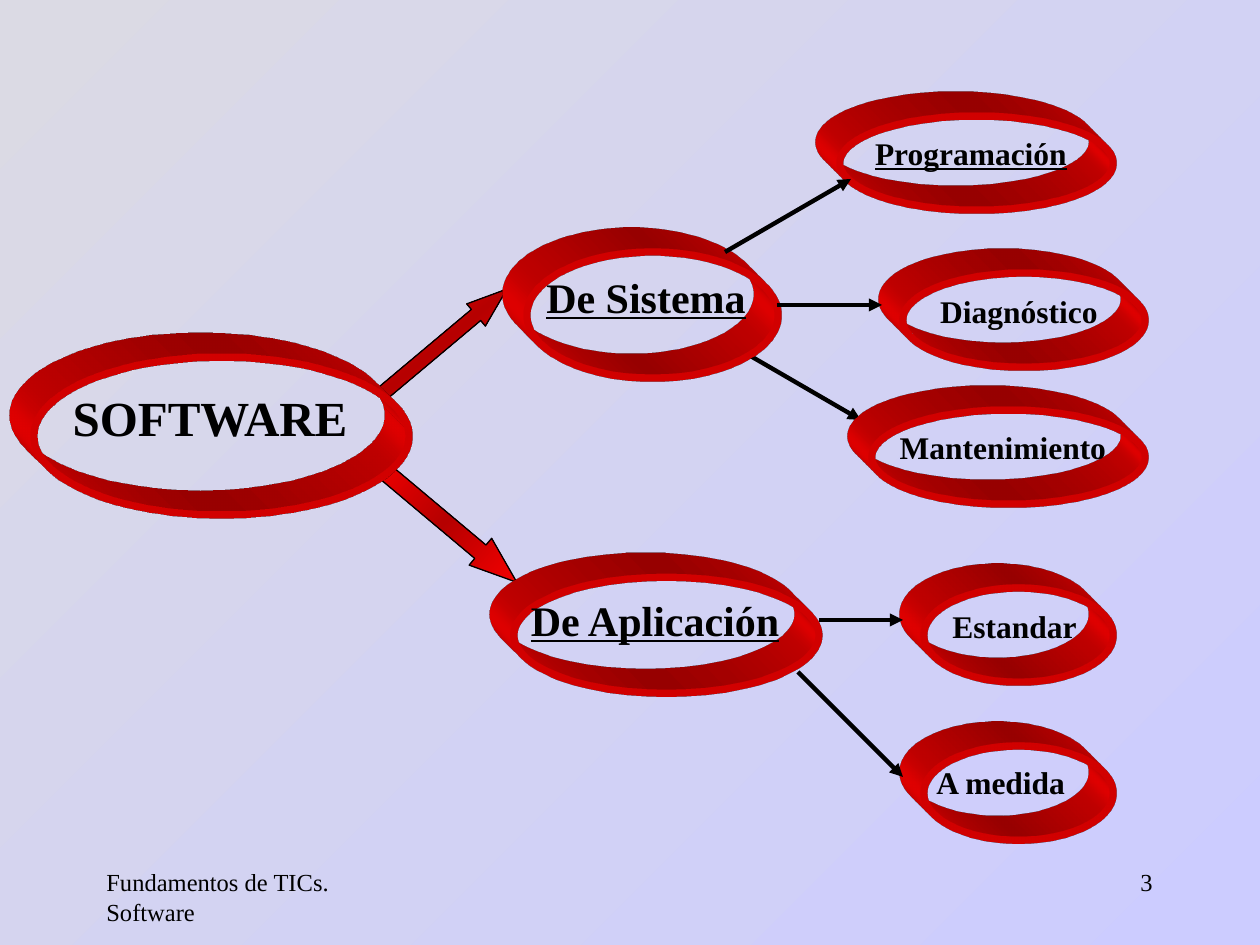
from copy import deepcopy
from dataclasses import dataclass

from lxml.etree import SubElement
from pptx import Presentation
from pptx.dml.color import RGBColor
from pptx.enum.shapes import MSO_CONNECTOR as Connector, MSO_SHAPE as Preset
from pptx.enum.text import PP_ALIGN as Align
from pptx.oxml import parse_xml
from pptx.oxml.ns import nsdecls, qn
from pptx.util import Emu, Pt

BLACK = RGBColor(0x00, 0x00, 0x00)
RED = RGBColor(0xFF, 0x00, 0x00)
DARK_RED = RGBColor(0xB6, 0x00, 0x00)
PALE_GREY = RGBColor(0xDB, 0xDA, 0xE4)
LAVENDER = RGBColor(0xCC, 0xCC, 0xFF)
FONT = "Times New Roman"
EMU_PER_PX = 914400 / 126
EXTRUSION_DEPTH = 430200


@dataclass(frozen=True)
class Box:
    left: int
    top: int
    width: int
    height: int


@dataclass(frozen=True)
class Label:
    text: str
    box: Box
    size: int
    bold: bool = True
    underline: bool = False
    align: Align = Align.CENTER
    line_spacing: Pt | None = Pt(22)


@dataclass(frozen=True)
class Ring:
    box: Box
    label: Label


@dataclass(frozen=True)
class BlockArrow:
    preset: Preset
    box: Box
    rotation: int
    head_ratio: float


@dataclass(frozen=True)
class Link:
    start: tuple[int, int]
    end: tuple[int, int]


FOOTERS = [
    Label("Fundamentos de TICs. Software", Box(94, 861, 262, 63), 14, False,
          align=Align.LEFT, line_spacing=None),
    Label("3", Box(903, 861, 262, 63), 14, False, align=Align.RIGHT, line_spacing=None),
]
BLOCK_ARROWS = [
    BlockArrow(Preset.LEFT_ARROW, Box(350, 504, 189, 35), 220, 1.36),
    BlockArrow(Preset.UP_ARROW, Box(430, 260, 29, 163), 50, 1.39),
]
MAINTENANCE_LINK = Link((735, 347), (861, 420))
LINKS = [
    Link((725, 252), (851, 179)),
    Link((777, 305), (882, 305)),
    Link((819, 620), (903, 620)),
    Link((798, 672), (903, 777)),
]
BRANCHES = [
    Ring(Box(527, 252, 251, 126),
         Label("De Sistema", Box(515, 277, 262, 52), 24, underline=True)),
    Ring(Box(514, 577, 305, 116),
         Label("De Aplicación", Box(514, 600, 282, 50), 24, underline=True)),
    Ring(Box(840, 116, 273, 94),
         Label("Programación", Box(840, 127, 262, 52), 18, underline=True)),
    Ring(Box(903, 273, 242, 94), Label("Diagnóstico", Box(903, 285, 232, 52), 18)),
    Ring(Box(872, 410, 273, 94), Label("Mantenimiento", Box(872, 421, 262, 52), 18)),
    Ring(Box(924, 588, 189, 94), Label("Estandar", Box(924, 600, 181, 52), 18)),
    Ring(Box(924, 746, 189, 94),
         Label("A medida", Box(924, 757, 181, 50), 18, align=Align.LEFT, line_spacing=None)),
]
ROOT = Ring(Box(34, 357, 375, 158), Label("SOFTWARE", Box(0, 402, 420, 52), 28))


def px(length: int) -> Emu:
    return Emu(round(length * EMU_PER_PX))


def place(box: Box) -> tuple[Emu, ...]:
    return tuple(px(length) for length in (box.left, box.top, box.width, box.height))


def apply_format(target, values: dict) -> None:
    for name, value in values.items():
        setattr(target, name, value)


def paint_line(line, color: RGBColor, width: float) -> None:
    line.color.rgb = color
    line.width = Pt(width)


def draw_label(slide, label: Label) -> None:
    shape = slide.shapes.add_textbox(*place(label.box))
    shape.text_frame.word_wrap = True
    paragraph = shape.text_frame.paragraphs[0]
    apply_format(paragraph, {"alignment": label.align, "line_spacing": label.line_spacing})
    run = paragraph.add_run()
    run.text = label.text
    apply_format(run.font, {"name": FONT, "size": Pt(label.size), "bold": label.bold,
                            "underline": label.underline})
    run.font.color.rgb = BLACK


def extrude(shape) -> None:
    properties = shape._element.spPr
    properties.append(parse_xml(
        f'<a:scene3d {nsdecls("a")}><a:camera prst="legacyObliqueTopLeft"/>'
        '<a:lightRig rig="legacyFlat3" dir="b"/></a:scene3d>'))
    properties.append(parse_xml(
        f'<a:sp3d {nsdecls("a")} extrusionH="{EXTRUSION_DEPTH}" prstMaterial="legacyMatte">'
        '<a:bevelT w="13500" h="13500" prst="angle"/>'
        '<a:bevelB w="13500" h="13500" prst="angle"/>'
        f'<a:extrusionClr><a:srgbClr val="{RED}"/></a:extrusionClr></a:sp3d>'))


def draw_ring(slide, ring: Ring) -> None:
    shape = slide.shapes.add_shape(Preset.OVAL, *place(ring.box))
    shape.shadow.inherit = False
    shape.fill.background()
    paint_line(shape.line, RED, 4.25)
    extrude(shape)
    draw_label(slide, ring.label)


def paint_gradient(fill, colors: list[RGBColor], angle: int) -> None:
    fill.gradient()
    fill.gradient_angle = angle
    stops = fill.gradient_stops
    first = stops[0]._gs
    for _ in colors[2:]:
        first.addnext(deepcopy(first))
    for index, (stop, color) in enumerate(zip(fill.gradient_stops, colors)):
        stop.color.rgb = color
        stop.position = index / (len(colors) - 1)


def draw_block_arrow(slide, arrow: BlockArrow) -> None:
    shape = slide.shapes.add_shape(arrow.preset, *place(arrow.box))
    shape.shadow.inherit = False
    shape.rotation = arrow.rotation
    shape.adjustments[0] = 0.5
    shape.adjustments[1] = arrow.head_ratio
    paint_gradient(shape.fill, [RED, DARK_RED, RED], 0)
    paint_line(shape.line, BLACK, 0.75)


def draw_link(slide, link: Link) -> None:
    points = (px(length) for length in (*link.start, *link.end))
    connector = slide.shapes.add_connector(Connector.STRAIGHT, *points)
    paint_line(connector.line, BLACK, 2.5)
    SubElement(connector.line._get_or_add_ln(), qn("a:tailEnd"), type="triangle")
    SubElement(connector._element.spPr, qn("a:effectLst"))


def main() -> None:
    presentation = Presentation()
    apply_format(presentation, {"slide_width": px(1260), "slide_height": px(945)})
    slide = presentation.slides.add_slide(presentation.slide_layouts[6])
    paint_gradient(slide.background.fill, [PALE_GREY, LAVENDER], 315)
    for label in FOOTERS:
        draw_label(slide, label)
    draw_link(slide, MAINTENANCE_LINK)
    for arrow in BLOCK_ARROWS:
        draw_block_arrow(slide, arrow)
    for ring in BRANCHES:
        draw_ring(slide, ring)
    for link in LINKS:
        draw_link(slide, link)
    draw_ring(slide, ROOT)
    presentation.save("out.pptx")


if __name__ == "__main__":
    main()
